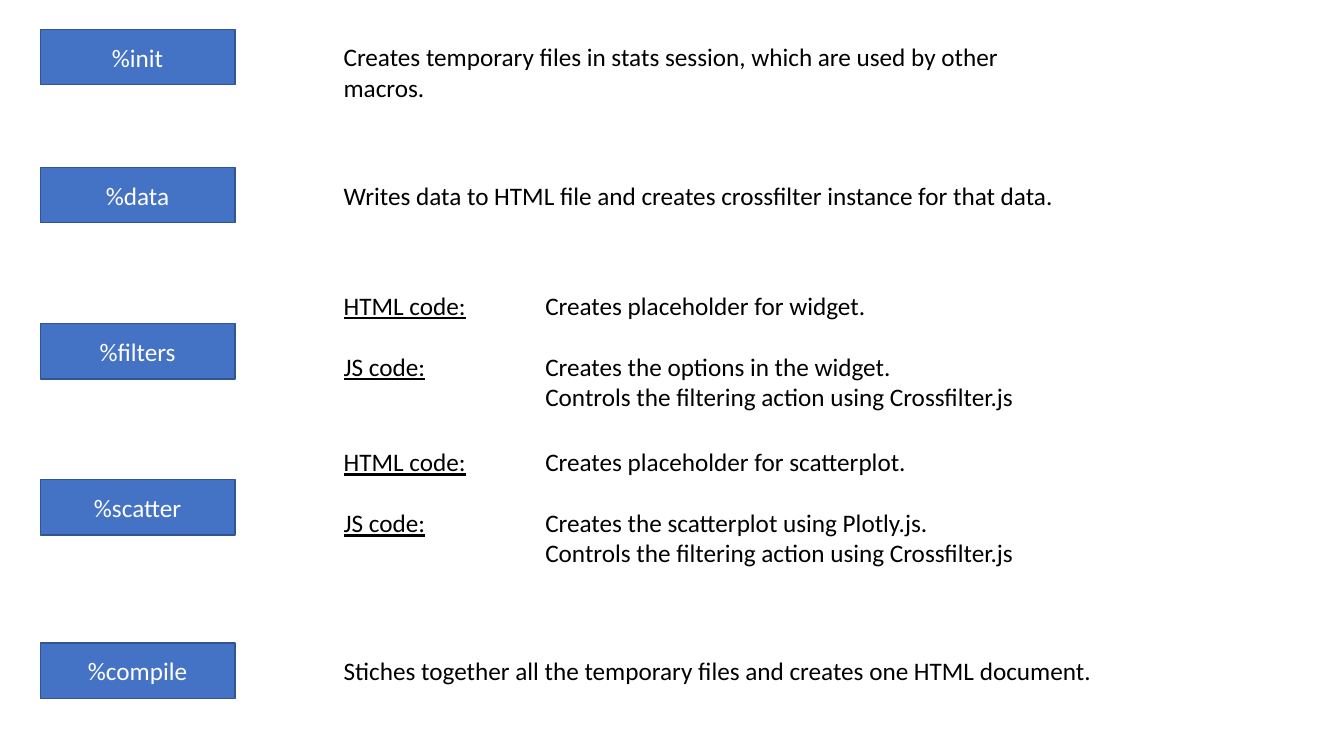
from lxml import etree
from pptx import Presentation
from pptx.dml.color import RGBColor
from pptx.enum.shapes import MSO_SHAPE
from pptx.enum.text import MSO_ANCHOR, MSO_AUTO_SIZE, PP_ALIGN
from pptx.oxml.ns import qn
from pptx.util import Inches, Pt

RECT = MSO_SHAPE.RECTANGLE
MIDDLE = MSO_ANCHOR.MIDDLE
CENTER = PP_ALIGN.CENTER
GROW = MSO_AUTO_SIZE.SHAPE_TO_FIT_TEXT

BOX_H = 0.55
HTML = "HTML code:"
JS = "JS code:"
FILTER = "Controls the filtering action using Crossfilter.js"

MACROS = [
    ("%init", 0.29, 7.47, 0.4,
     [("", "Creates temporary files in stats session, which are used by other macros.")]),
    ("%data", 1.66, 7.32, 0.4,
     [("", "Writes data to HTML file and creates crossfilter instance for that data.")]),
    ("%filters", 3.21, 6.95, 1.31,
     [(HTML, "\tCreates placeholder for widget."),
      (JS, "\tCreates the options in the widget."),
      ("", "\t" + FILTER)]),
    ("%scatter", 4.76, 6.92, 1.31,
     [(HTML, "\tCreates placeholder for scatterplot."),
      (JS, "\tCreates the scatterplot using Plotly.js."),
      ("", "\t" + FILTER)]),
    ("%compile", 6.38, 7.65, 0.4,
     [("", "Stiches together all the temporary files and creates one HTML document.")]),
]


def color(code):
    return RGBColor.from_string(code)


def style(para, code):
    para.font.name = "Calibri"
    para.font.size = Pt(18)
    para.font.color.rgb = color(code)


def add_tab(para, pos):
    tabs = etree.SubElement(para._p.get_or_add_pPr(), qn("a:tabLst"))
    etree.SubElement(tabs, qn("a:tab"), pos=str(Inches(pos)), algn="l")


def add_box(group, name, top):
    box = group.shapes.add_shape(
        RECT, Inches(0.4), Inches(top), Inches(1.93), Inches(BOX_H))
    box.shadow.inherit = False
    box.fill.solid()
    box.fill.fore_color.rgb = color("4472C4")
    box.line.color.rgb = color("325491")
    box.line.width = Pt(1)
    box.text_frame.vertical_anchor = MIDDLE
    para = box.text_frame.paragraphs[0]
    para.text = name
    para.alignment = CENTER
    style(para, "FFFFFF")


def add_note(group, mid, width, height, lines):
    note = group.shapes.add_textbox(
        Inches(3.31), Inches(mid - height / 2), Inches(width), Inches(height))
    frame = note.text_frame
    frame.word_wrap = False
    frame.auto_size = GROW
    for i, (label, text) in enumerate(lines):
        para = frame.add_paragraph() if i else frame.paragraphs[0]
        if label == JS:
            para.space_before = Pt(22)
        if "\t" in text:
            add_tab(para, 2)
        style(para, "000000")
        if label:
            run = para.add_run()
            run.text = label
            run.font.underline = True
        para.add_run().text = text


def main():
    deck = Presentation()
    deck.slide_width = Inches(13.33)
    deck.slide_height = Inches(7.5)
    slide = deck.slides.add_slide(deck.slide_layouts[6])
    for name, top, width, height, lines in MACROS:
        group = slide.shapes.add_group_shape()
        add_box(group, name, top)
        add_note(group, top + BOX_H / 2, width, height, lines)
    deck.save("out.pptx")


if __name__ == "__main__":
    main()
